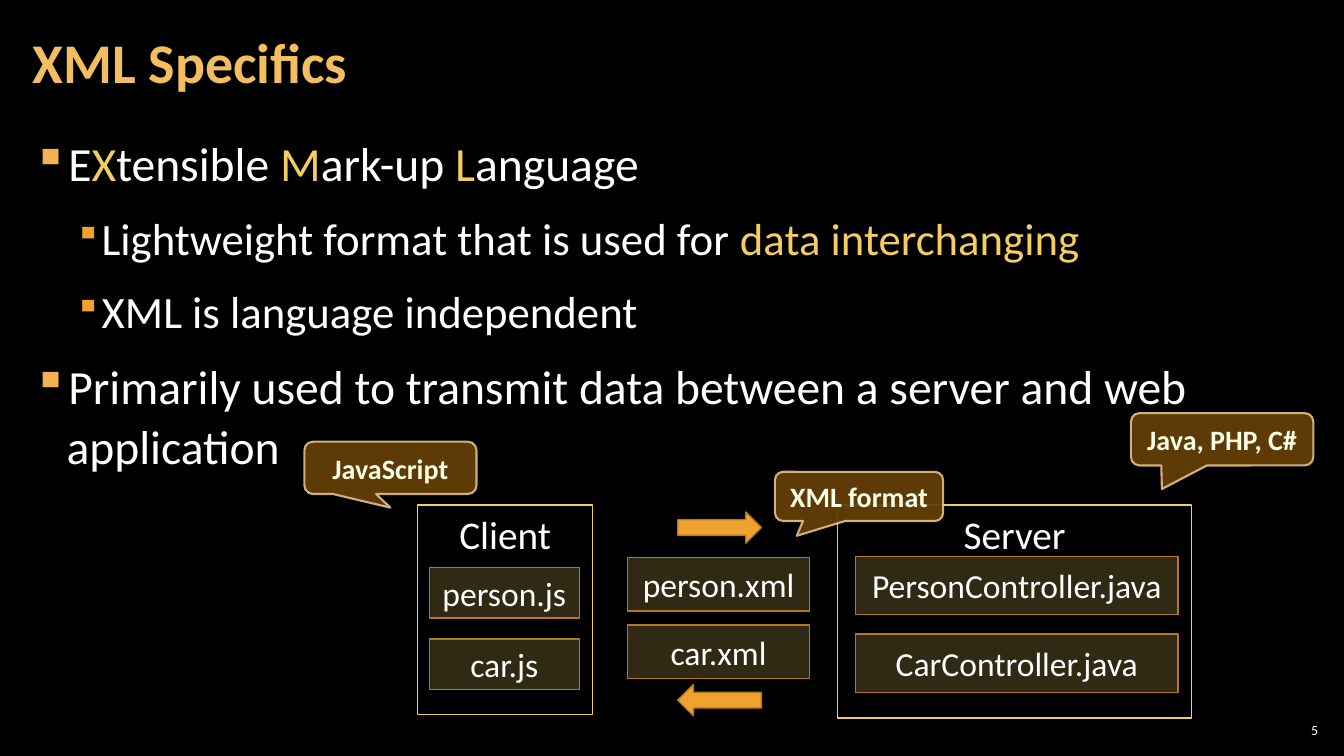
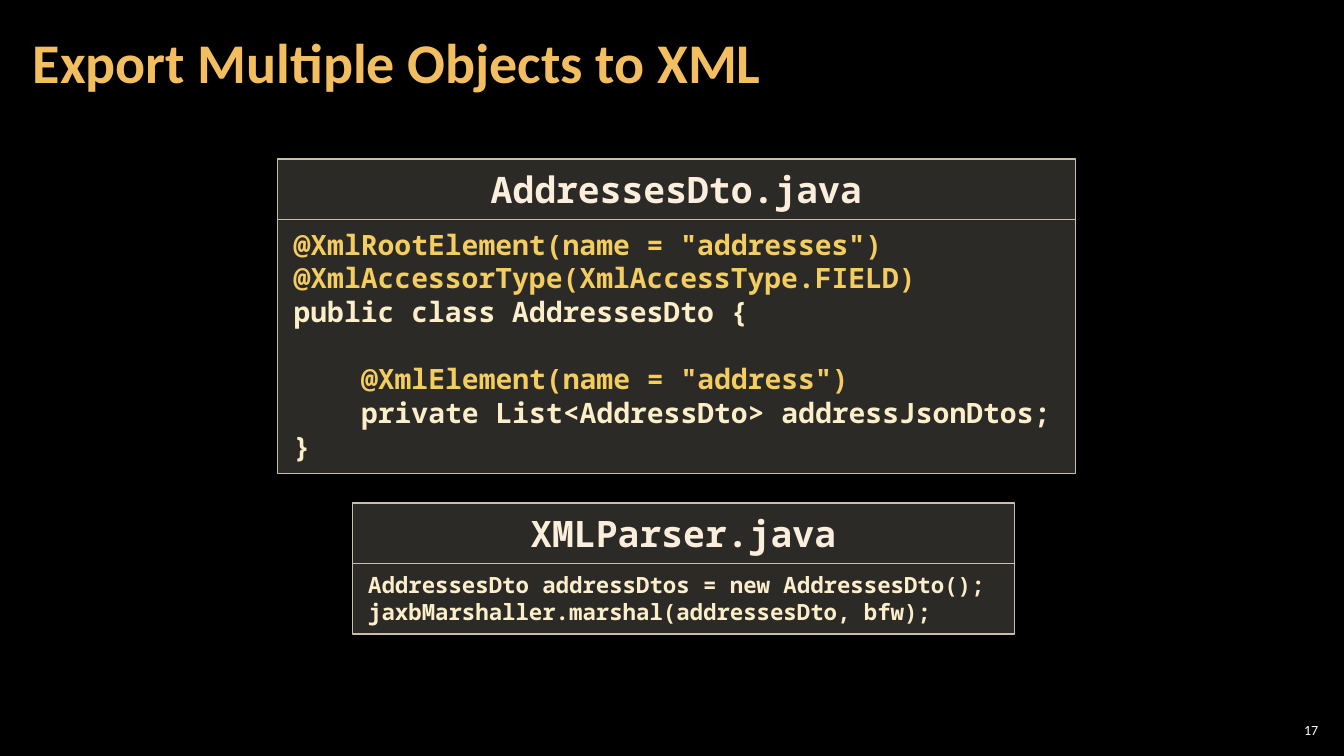
from pptx import Presentation
from pptx import util as u
from pptx.dml.color import RGBColor
from pptx.enum import shapes, text
from pptx.oxml.ns import qn
from lxml import etree

Cm, Pt = u.Cm, u.Pt
SHAPE, ALIGN, ANCHOR = shapes.MSO_SHAPE, text.PP_ALIGN, text.MSO_ANCHOR

WHITE, YELLOW, ORANGE, BROWN = "FFFFFF", "F3CD60", "F0A22E", "B27822"
CREAM = "FBEEC9"

# Font formats
TITLE = dict(name="Calibri", size=Pt(40), bold=True)
NUMBER = dict(name="Calibri", size=Pt(10))
GROUP = dict(name="Calibri", size=Pt(28))
FILE = dict(name="Calibri", size=Pt(24))
CALLOUT = dict(name="Calibri", size=Pt(20), bold=True)
BODY = [dict(name="Calibri", size=Pt(34)), dict(name="Calibri", size=Pt(32))]
CODE_HEAD = dict(name="Noto Sans Mono", size=Pt(26), bold=True)

# Bullet formats by level: left indent, hanging indent, colour, size in percent
BULLETS = [(0.85, 0.85, "F2B254", 100), (1.7, 0.64, ORANGE, 80)]


def rgb(value):
    return RGBColor.from_string(value)


def set_all(target, values):
    for key, value in values.items():
        setattr(target, key, value)


def set_alpha(color_parent, percent):
    """Make the solid colour held by an XML element partly transparent."""
    color = color_parent.find(qn("a:solidFill")).find(qn("a:srgbClr"))
    etree.SubElement(color, qn("a:alpha")).set("val", str(percent * 1000))


class Deck:
    def __init__(self):
        self.prs = Presentation()
        self.prs.slide_width, self.prs.slide_height = Cm(33.87), Cm(19.05)
        fill = self.prs.slide_master.background.fill
        fill.solid()
        fill.fore_color.rgb = rgb("000000")
        self.slide = None

    def new_slide(self, title, number):
        self.slide = self.prs.slides.add_slide(self.prs.slide_layouts[5])
        heading = self.slide.shapes.title
        set_all(heading, dict(left=Cm(0.53), top=Cm(0.1), width=Cm(26.6), height=Cm(3.07)))
        self.frame(heading, (0.3, 0.1), ANCHOR.MIDDLE)
        self.put_lines(heading, [title], TITLE, "F3BE60", line_spacing=0.9)
        self.text_box((32.13, 18.14, 1.19, 0.53), (0.1, 0.1), ANCHOR.MIDDLE,
                      [str(number)], NUMBER, alignment=ALIGN.RIGHT)

    def frame(self, shape, insets, anchor):
        side, end = map(Cm, insets)
        set_all(shape.text_frame, dict(
            word_wrap=True, auto_size=text.MSO_AUTO_SIZE.NONE, vertical_anchor=anchor,
            margin_left=side, margin_right=side, margin_top=end, margin_bottom=end))

    def put_lines(self, shape, lines, font, color, alignment=ALIGN.LEFT, **layout):
        """Set one paragraph a line; text between bars is highlighted."""
        paragraphs = []
        for i, line in enumerate(lines):
            frame = shape.text_frame
            par = frame.paragraphs[0] if i == 0 else frame.add_paragraph()
            set_all(par, dict(alignment=alignment, **layout))
            for n, part in enumerate(line.split("|")):
                if part:
                    run = par.add_run()
                    run.text = part
                    set_all(run.font, font)
                    run.font.color.rgb = rgb(YELLOW if n % 2 else color)
            paragraphs.append(par)
        return paragraphs

    def text_box(self, box, insets, anchor, lines, font, color=WHITE, **layout):
        shape = self.slide.shapes.add_textbox(*map(Cm, box))
        self.frame(shape, insets, anchor)
        return self.put_lines(shape, lines, font, color, **layout)

    def bullets(self, box, items):
        pars = self.text_box(box, (0.3, 0.1), ANCHOR.TOP, [line for _, line in items],
                             BODY[0], line_spacing=1.05, space_before=Pt(6),
                             space_after=Pt(6))
        for par, (level, _) in zip(pars, items):
            for run in par.runs:
                set_all(run.font, BODY[level])
            par.level = level
            left, hang, color, size = BULLETS[level]
            props = par._p.get_or_add_pPr()
            props.set("marL", str(Cm(left)))
            props.set("indent", str(-Cm(hang)))
            bullet_color = etree.SubElement(props, qn("a:buClr"))
            etree.SubElement(bullet_color, qn("a:srgbClr")).set("val", color)
            etree.SubElement(props, qn("a:buSzPct")).set("val", str(size * 1000))
            etree.SubElement(props, qn("a:buChar")).set("char", "▪")

    def shape(self, kind, box, fill=None, alpha=100, line=BROWN, width=1):
        shape = self.slide.shapes.add_shape(kind, *map(Cm, box))
        shape.shadow.inherit = False
        if fill:
            shape.fill.solid()
            shape.fill.fore_color.rgb = rgb(fill)
            set_alpha(shape.element.spPr, alpha)
        else:
            shape.fill.background()
        shape.line.color.rgb = rgb(line)
        shape.line.width = Pt(width)
        return shape

    def group(self, name, box):
        shape = self.shape(SHAPE.RECTANGLE, box, line=YELLOW)
        self.frame(shape, (0.25, 0.13), ANCHOR.TOP)
        self.put_lines(shape, [name], GROUP, WHITE, ALIGN.CENTER)

    def files(self, names, box, step):
        left, top, width, height = box
        for i, name in enumerate(names):
            shape = self.shape(SHAPE.RECTANGLE, (left, top + i * step, width, height),
                               YELLOW, 20)
            self.frame(shape, (0.2, 0.13), ANCHOR.MIDDLE)
            self.put_lines(shape, [name], FILE, WHITE, ALIGN.CENTER)

    def callout(self, label, box, tip):
        shape = self.shape(SHAPE.ROUNDED_RECTANGULAR_CALLOUT, box, "643F07", 95, "F8D49E", 1.5)
        set_alpha(shape.element.spPr.find(qn("a:ln")), 80)
        shape.adjustments[0], shape.adjustments[1] = tip
        self.frame(shape, (0.2, 0.13), ANCHOR.MIDDLE)
        self.put_lines(shape, [label], CALLOUT, "F7FFE7", ALIGN.CENTER)

    def code_panel(self, name, lines, box, size):
        """Draw a file name bar with its code below; return the code lines."""
        left, top, width, height = box
        bar = 1.52
        parts = [((left, top + bar, width, height - bar), lines,
                  dict(CODE_HEAD, size=Pt(size)), CREAM, ALIGN.LEFT),
                 ((left, top, width, bar), [name], CODE_HEAD, "FBEEDC", ALIGN.CENTER)]
        paragraphs = []
        for part_box, content, font, color, alignment in parts:
            shape = self.shape(SHAPE.RECTANGLE, part_box, "D9D5C7", 20, "C7BFAC")
            self.frame(shape, (0.4, 0.2), ANCHOR.TOP)
            paragraphs.append(self.put_lines(shape, content, font, color, alignment))
        return paragraphs[0]


def xml_specifics(deck):
    deck.new_slide("XML Specifics", 5)
    deck.bullets((0.53, 3.2, 32.8, 15.47), [
        (0, "E|X|tensible |M|ark-up |L|anguage"),
        (1, "Lightweight format that is used for |data interchanging|"),
        (1, "XML is language independent"),
        (0, "Primarily used to transmit data between a server and web application"),
    ])

    # Client and server with their files
    deck.group("Client", (10.52, 12.73, 4.42, 5.28))
    deck.files(["person.js", "car.js"], (10.82, 14.3, 3.78, 1.27), 1.8)
    deck.group("Server", (21.11, 12.73, 8.92, 5.36))
    deck.files(["PersonController.java", "CarController.java"], (21.56, 14.02, 8.13, 1.47), 1.96)

    # Languages and format
    deck.callout("JavaScript", (7.67, 11.13, 4.34, 1.32), (0, 0.76))
    deck.callout("Java, PHP, C#", (28.5, 10.41, 4.6, 1.32), (-0.33, 0.95))
    deck.callout("XML format", (19.53, 11.89, 4.24, 1.24), (-0.37, 0.8))

    # Exchanged files between two arrows
    deck.files(["person.xml", "car.xml"], (15.82, 14.05, 4.58, 1.35), 1.7)
    for direction, top in ((SHAPE.RIGHT_ARROW, 12.9), (SHAPE.LEFT_ARROW, 17.25)):
        deck.shape(direction, (17.08, top, 2.11, 0.79), ORANGE)


def export_objects(deck):
    deck.new_slide("Export Multiple Objects to XML", 17)

    # Class with annotations
    code = deck.code_panel("AddressesDto.java", [
        '|@XmlRootElement(name = "addresses")|',
        "|@XmlAccessorType(XmlAccessType.FIELD)|",
        "public class AddressesDto {",
        '|@XmlElement(name = "address")|',
        "private List<AddressDto> addressJsonDtos;",
        "}",
    ], (7, 4.01, 20.1, 7.93), 20)
    for member in code[3:5]:
        member._p.get_or_add_pPr().set("marL", str(Cm(1.7)))
    code[3].space_before = Pt(24)

    # Code that saves the objects
    deck.code_panel("XMLParser.java", [
        "AddressesDto addressDtos = new AddressesDto();",
        "jaxbMarshaller.marshal(addressesDto, bfw);",
    ], (8.88, 12.68, 16.69, 3.3), 16)


def main():
    deck = Deck()
    xml_specifics(deck)
    export_objects(deck)
    deck.prs.save("out.pptx")


if __name__ == "__main__":
    main()
